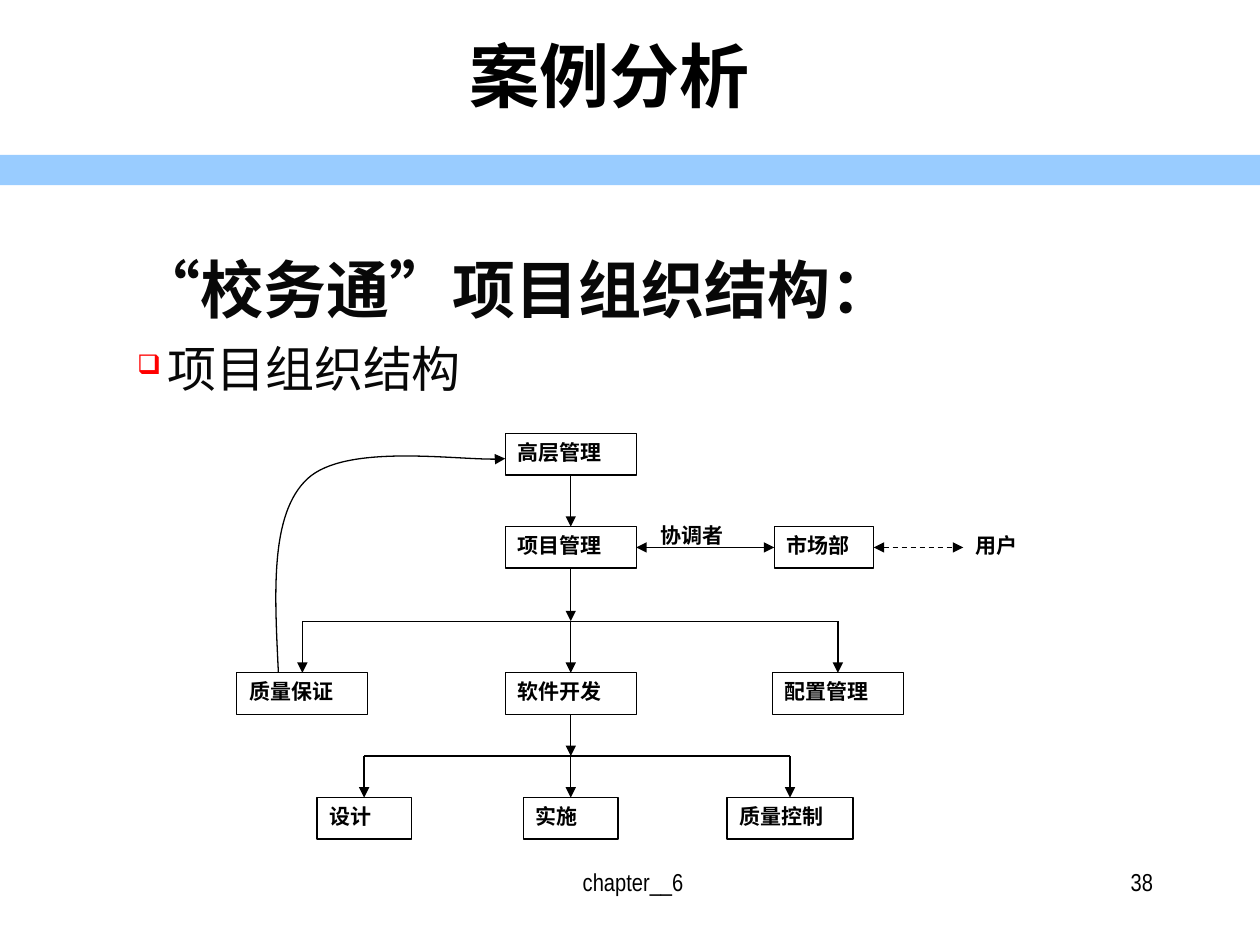
from typing import NamedTuple, Optional

from lxml import etree
from pptx import Presentation
from pptx.dml.color import RGBColor
from pptx.enum.dml import MSO_LINE_DASH_STYLE as Dash
from pptx.enum.shapes import MSO_CONNECTOR, MSO_SHAPE
from pptx.enum.text import MSO_ANCHOR, PP_ALIGN as Align
from pptx.oxml.ns import qn
from pptx.util import Inches, Pt

BLACK, WHITE = "000000", "FFFFFF"
CJK = "Noto Sans CJK SC"
NARROW, SERIF = "Arial Narrow", "Times New Roman"
LINE_WIDTH = Pt(0.75)
BOX_HEIGHT = 0.33
TOP, LEFT, BOTTOM, RIGHT = range(4)


class Box(NamedTuple):
    text: str
    center: float
    top: float
    width: float = 1.04
    height: float = BOX_HEIGHT
    outlined: bool = True


class End(NamedTuple):
    """A connector end: a point, joined to a side of a box when one is given."""
    x: float
    y: float
    shape: Optional[object] = None
    site: int = TOP


class Label(NamedTuple):
    text: str
    left: float
    top: float
    width: float
    height: float
    size: float
    align: Align
    bold: bool = False


BOXES = [
    Box("用户", 7.98, 4.18, 0.67, outlined=False),
    Box("高层管理", 4.53, 3.44),
    Box("项目管理", 4.53, 4.18),
    Box("市场部", 6.54, 4.18, 0.79),
    Box("质量保证", 2.4, 5.34),
    Box("软件开发", 4.53, 5.34),
    Box("配置管理", 6.65, 5.34),
    Box("设计", 2.89, 6.33, 0.75),
    Box("实施", 4.53, 6.33, 0.75),
    Box("质量控制", 6.27, 6.33, 1),
]
# Ends just above the arrow it names, so the arrow stays visible.
COORDINATOR = Box("协调者", 5.54, 4.1, 0.79, 0.22, outlined=False)
LABELS = [
    Label("chapter__6", 3.44, 6.83, 3.17, 0.5, 14, Align.CENTER),
    Label("38", 7.17, 6.83, 2.08, 0.5, 14, Align.RIGHT),
    Label("案例分析", 0.59, 0.21, 8.5, 1.25, 40, Align.CENTER, True),
]
ESCALATION = [(2.21, 5.34), (2.18, 4.71), (2.14, 4.08), (2.44, 3.8),
              (2.74, 3.52), (3.75, 3.67), (4.01, 3.64)]


def color(value: str) -> RGBColor:
    return RGBColor.from_string(value)


def format_paragraph(paragraph, font: str, size: float, bold: bool = False,
                     fill: str = BLACK, align: Align = Align.LEFT) -> None:
    paragraph.alignment = align
    for run in paragraph.runs:
        run.font.name = font
        run.font.size = Pt(size)
        run.font.bold = bold
        run.font.color.rgb = color(fill)
        properties = run._r.get_or_add_rPr()
        properties.find(qn("a:latin")).addnext(
            etree.Element(qn("a:ea"), typeface=CJK))


def add_label(slide, label: Label) -> None:
    shape = slide.shapes.add_textbox(
        Inches(label.left), Inches(label.top),
        Inches(label.width), Inches(label.height))
    frame = shape.text_frame
    frame.word_wrap = True
    frame.text = label.text
    format_paragraph(frame.paragraphs[0], NARROW, label.size, label.bold,
                     align=label.align)


def add_rectangle(slide, left: float, top: float, width: float,
                  height: float, fill: str):
    shape = slide.shapes.add_shape(
        MSO_SHAPE.RECTANGLE, Inches(left), Inches(top),
        Inches(width), Inches(height))
    shape.shadow.inherit = False
    shape.fill.solid()
    shape.fill.fore_color.rgb = color(fill)
    shape.line.fill.background()
    return shape


def set_line(shape) -> None:
    shape.line.color.rgb = color(BLACK)
    shape.line.width = LINE_WIDTH


def add_box(slide, box: Box):
    shape = add_rectangle(slide, box.center - box.width / 2, box.top,
                          box.width, box.height, WHITE)
    if box.outlined:
        set_line(shape)
    frame = shape.text_frame
    frame.word_wrap = True
    frame.vertical_anchor = MSO_ANCHOR.TOP
    frame.text = box.text
    format_paragraph(frame.paragraphs[0], SERIF, 12, True, align=Align.JUSTIFY)
    return shape


def add_arrowheads(shape, *ends: str) -> None:
    """Put triangles on the named ends, headEnd before tailEnd."""
    line = shape.line._get_or_add_ln()
    for end in ends:
        etree.SubElement(line, qn(f"a:{end}"), type="triangle")


def connect(slide, start: End, end: End, *arrows: str, dashed: bool = False) -> None:
    connector = slide.shapes.add_connector(
        MSO_CONNECTOR.STRAIGHT, Inches(start.x), Inches(start.y),
        Inches(end.x), Inches(end.y))
    if start.shape is not None:
        connector.begin_connect(start.shape, start.site)
    if end.shape is not None:
        connector.end_connect(end.shape, end.site)
    set_line(connector)
    if dashed:
        connector.line.dash_style = Dash.DASH
    add_arrowheads(connector, *arrows)
    etree.SubElement(connector._element.spPr, qn("a:effectLst"))


def add_curve(slide, points: list[tuple[float, float]]) -> None:
    """Draw cubic curves through a start point and triples of control points."""
    start, *controls = [(Inches(x), Inches(y)) for x, y in points]
    builder = slide.shapes.build_freeform(*start)
    builder.add_line_segments(controls, close=False)
    shape = builder.convert_to_shape()
    shape.shadow.inherit = False
    shape.fill.background()
    set_line(shape)
    add_arrowheads(shape, "tailEnd")
    segments = list(shape._element.iter(qn("a:lnTo")))
    for first in range(0, len(segments), 3):
        curve = etree.Element(qn("a:cubicBezTo"))
        segments[first].addprevious(curve)
        for segment in segments[first:first + 3]:
            curve.append(segment[0])
            segment.getparent().remove(segment)


def add_body(slide) -> None:
    frame = slide.shapes.add_textbox(
        Inches(0.99), Inches(1.94), Inches(8.5), Inches(1.81)).text_frame
    frame.word_wrap = True
    frame.text = "“校务通”项目组织结构：\n项目组织结构"
    heading, item = frame.paragraphs
    format_paragraph(heading, NARROW, 36, True, "080808")
    format_paragraph(item, CJK, 28, False, "080808")
    for paragraph, space in ((heading, 9), (item, 7)):
        paragraph.space_before = Pt(space)
        properties = paragraph._p.get_or_add_pPr()
        properties.set("marL", str(Inches(0.24)))
        properties.set("indent", str(Inches(-0.24)))
    bullet_color = etree.SubElement(properties, qn("a:buClr"))
    etree.SubElement(bullet_color, qn("a:srgbClr"), val="FF0000")
    etree.SubElement(properties, qn("a:buSzPct"), val="55000")
    etree.SubElement(properties, qn("a:buChar"), char="❑")


def add_chart_lines(slide, shapes: dict) -> None:
    boxes = {box.text: box for box in BOXES}

    def side(name: str, site: int) -> End:
        box = boxes[name]
        x = box.center + {LEFT: -0.5, RIGHT: 0.5}.get(site, 0) * box.width
        y = box.top + {TOP: 0, BOTTOM: 1}.get(site, 0.5) * box.height
        return End(x, y, shapes[name], site)

    def branch(parent: str, children: list[str], y: float) -> None:
        centers = [boxes[child].center for child in children]
        connect(slide, End(centers[0], y), End(centers[-1], y))
        for child, center in zip(children, centers):
            connect(slide, End(center, y), side(child, TOP), "tailEnd")
        connect(slide, side(parent, BOTTOM), End(boxes[parent].center, y), "tailEnd")

    connect(slide, side("高层管理", BOTTOM), side("项目管理", TOP), "tailEnd")
    connect(slide, side("项目管理", RIGHT), side("市场部", LEFT), "headEnd", "tailEnd")
    connect(slide, side("市场部", RIGHT), side("用户", LEFT), "headEnd", "tailEnd",
            dashed=True)
    branch("项目管理", ["质量保证", "软件开发", "配置管理"], 4.93)
    branch("软件开发", ["设计", "实施", "质量控制"], 6)


def main() -> None:
    presentation = Presentation()
    presentation.slide_width, presentation.slide_height = Inches(10), Inches(7.5)
    slide = presentation.slides.add_slide(presentation.slide_layouts[6])
    add_rectangle(slide, 0, 1.23, 10, 0.24, "99CCFF")
    for label in LABELS:
        add_label(slide, label)
    add_body(slide)
    add_chart_lines(slide, {box.text: add_box(slide, box) for box in BOXES})
    add_curve(slide, ESCALATION)
    add_box(slide, COORDINATOR)
    presentation.save("out.pptx")


if __name__ == "__main__":
    main()
